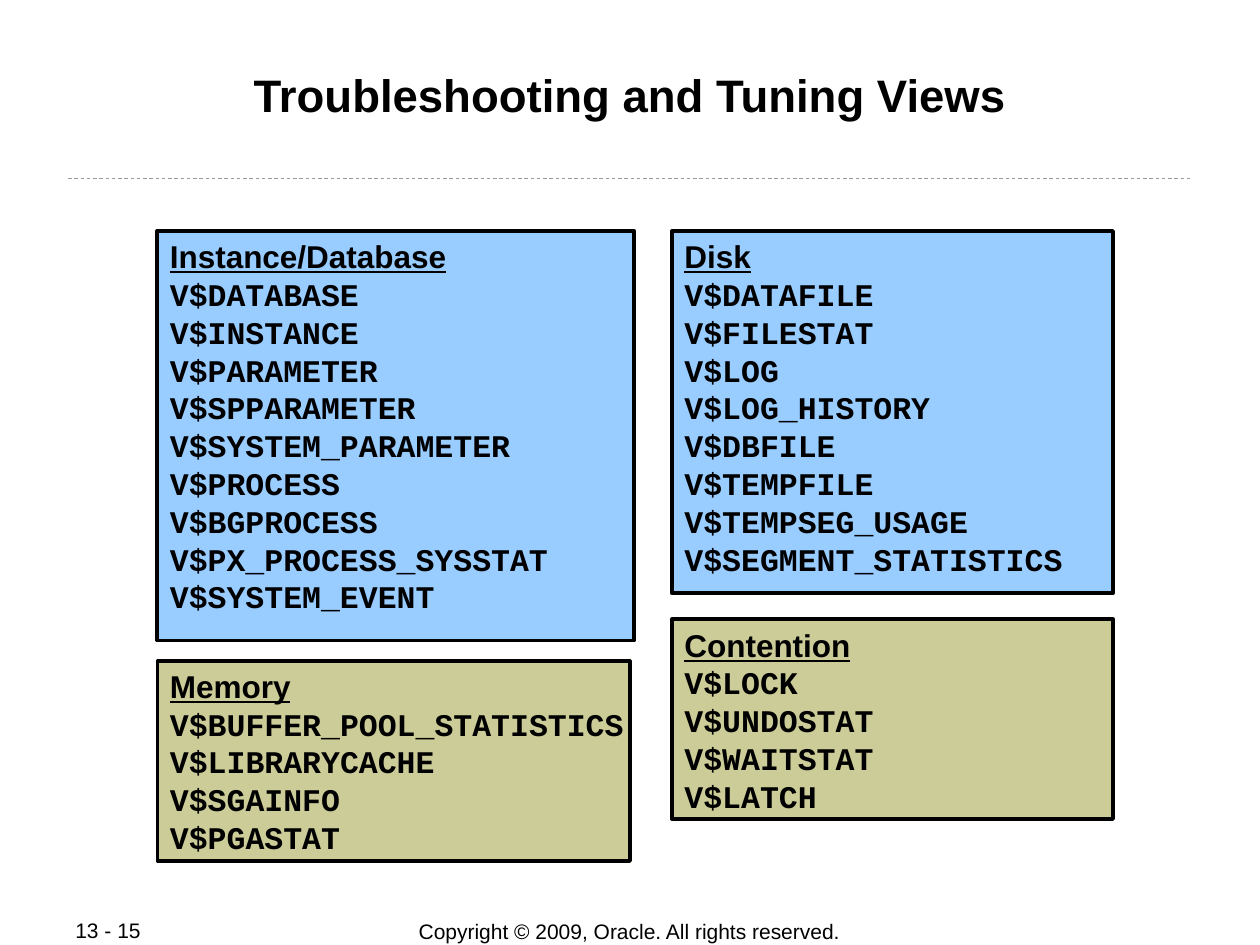
from dataclasses import dataclass
from typing import Optional

from lxml.etree import SubElement
from pptx import Presentation
from pptx.dml.color import RGBColor
from pptx.enum.dml import MSO_LINE
from pptx.enum.shapes import MSO_CONNECTOR, MSO_SHAPE
from pptx.enum.text import MSO_ANCHOR, PP_ALIGN
from pptx.oxml.ns import qn
from pptx.util import Inches, Pt

COLORS = {"text": "000000", "rule": "999999", "blue": "99CCFF", "olive": "CCCC99"}
CELL = 1 / 12  # grid of 120 columns by 90 rows, in inches


@dataclass
class Area:
    column: float
    row: float
    columns: float
    rows: float

    def lengths(self) -> list:
        return [Inches(n * CELL) for n in (self.column, self.row, self.columns, self.rows)]


@dataclass
class Panel:
    area: Area
    fill: str
    heading: str
    views: str
    text_area: Optional[Area] = None  # None keeps the text in the rectangle


LEFT, RIGHT, TOP = 15, 64, 22
PANELS = [
    Panel(Area(LEFT, TOP, 45.4, 39), "blue", "Instance/Database",
          "DATABASE INSTANCE PARAMETER SPPARAMETER SYSTEM_PARAMETER PROCESS "
          "BGPROCESS PX_PROCESS_SYSSTAT SYSTEM_EVENT",
          Area(LEFT, TOP, 47, 37.2)),
    Panel(Area(RIGHT, TOP, 42, 34.5), "blue", "Disk",
          "DATAFILE FILESTAT LOG LOG_HISTORY DBFILE TEMPFILE "
          "TEMPSEG_USAGE SEGMENT_STATISTICS",
          Area(RIGHT, TOP, 45, 33.6)),
    Panel(Area(RIGHT, 59, 42, 19), "olive", "Contention",
          "LOCK UNDOSTAT WAITSTAT LATCH",
          Area(RIGHT, 59, 45, 19.2)),
    Panel(Area(LEFT, 63, 45, 19), "olive", "Memory",
          "BUFFER_POOL_STATISTICS LIBRARYCACHE SGAINFO PGASTAT"),
]


def color(name: str) -> RGBColor:
    return RGBColor.from_string(COLORS[name])


def add_run(paragraph, text: str, size: float, font_name: str = "Arial",
            bold: bool = False, underline: bool = False) -> None:
    run = paragraph.add_run()
    run.text = text
    font = run.font
    font.name, font.size = font_name, Pt(size)
    font.bold, font.underline = bold, underline
    font.color.rgb = color("text")


def add_line_of_text(slide, area: Area, text: str, size: float, align: PP_ALIGN,
                     bold: bool = False):
    frame = slide.shapes.add_textbox(*area.lengths()).text_frame
    frame.word_wrap = False
    frame.vertical_anchor = MSO_ANCHOR.MIDDLE
    frame.paragraphs[0].alignment = align
    add_run(frame.paragraphs[0], text, size, bold=bold)
    return frame


def add_panel(slide, panel: Panel) -> None:
    shape = slide.shapes.add_shape(MSO_SHAPE.RECTANGLE, *panel.area.lengths())
    shape.shadow.inherit = False
    shape.fill.solid()
    shape.fill.fore_color.rgb = color(panel.fill)
    shape.line.color.rgb = color("text")
    shape.line.width = Pt(2.25)

    if panel.text_area:
        frame = slide.shapes.add_textbox(*panel.text_area.lengths()).text_frame
        frame.word_wrap = True
    else:
        frame = shape.text_frame
        frame.word_wrap = False
        frame.vertical_anchor = MSO_ANCHOR.MIDDLE

    heading = frame.paragraphs[0]
    heading.alignment = PP_ALIGN.LEFT
    add_run(heading, panel.heading, 18, bold=True, underline=True)
    for view in panel.views.split():
        paragraph = frame.add_paragraph()
        paragraph.alignment = PP_ALIGN.LEFT
        add_run(paragraph, f"V${view}", 18, "Courier New", bold=True)


def main() -> None:
    presentation = Presentation()
    presentation.slide_width, presentation.slide_height = Inches(10), Inches(7.5)
    slide = presentation.slides.add_slide(presentation.slide_layouts[6])

    # Footer
    add_line_of_text(slide, Area(33, 87.4, 53.9, 2.5),
                     "Copyright © 2009, Oracle. All rights reserved.", 12, PP_ALIGN.CENTER)
    add_line_of_text(slide, Area(6, 87.4, 12.7, 2.4), "13 - 15", 12, PP_ALIGN.JUSTIFY)

    # Dashed rule under the title
    rule = slide.shapes.add_connector(
        MSO_CONNECTOR.STRAIGHT, Inches(0.54), Inches(1.42), Inches(9.46), Inches(1.42))
    rule.line.color.rgb = color("rule")
    rule.line.width = Pt(0.5)
    rule.line.dash_style = MSO_LINE.DASH
    SubElement(rule.element.spPr, qn("a:effectLst"))

    # Title
    title = add_line_of_text(slide, Area(8, 5.8, 104, 11.5),
                             "Troubleshooting and Tuning Views", 26, PP_ALIGN.CENTER, bold=True)
    title.word_wrap = True
    title.vertical_anchor = MSO_ANCHOR.TOP
    title.margin_left = title.margin_right = title.margin_bottom = Inches(0.01)

    # Panels of views
    for panel in PANELS:
        add_panel(slide, panel)

    presentation.save("out.pptx")


if __name__ == "__main__":
    main()
